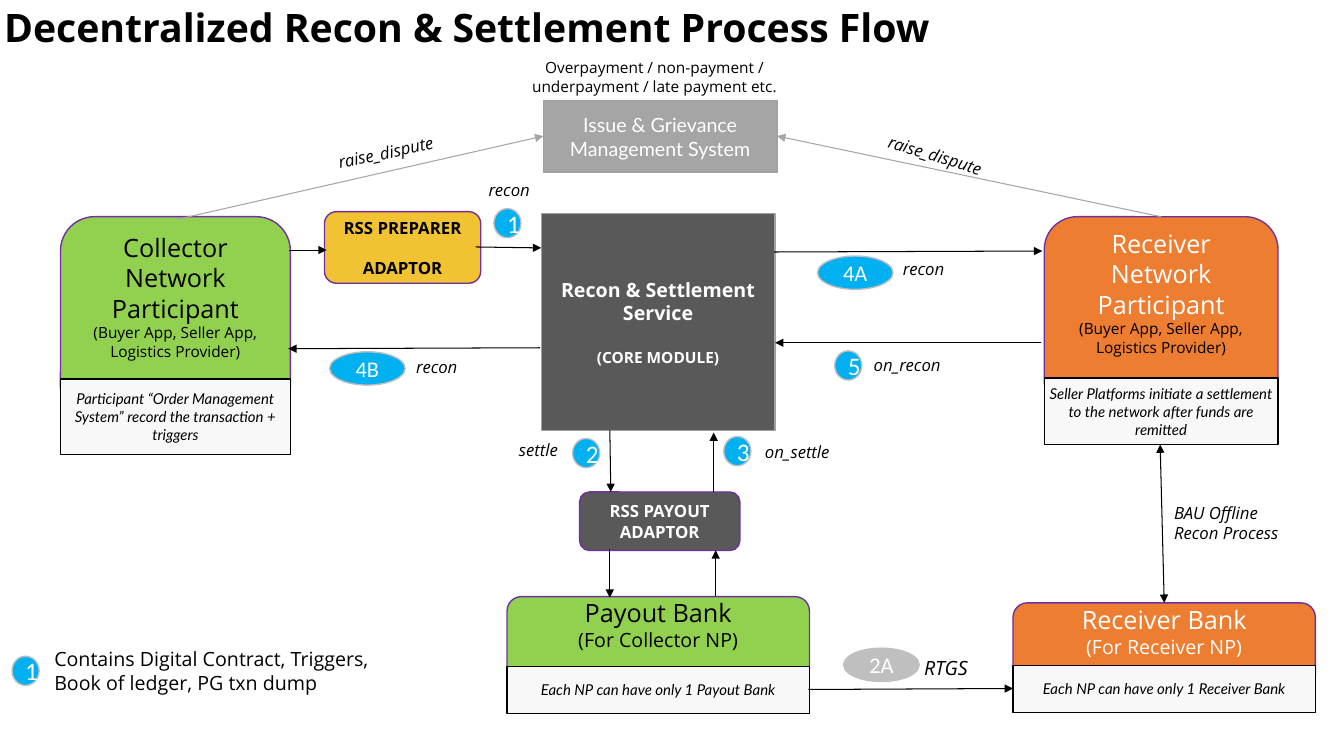
from lxml import etree
from pptx import Presentation
from pptx.dml.color import RGBColor
from pptx.enum import shapes as kinds, text as aligns
from pptx.oxml.ns import qn
from pptx.util import Pt

BLACK, WHITE = RGBColor(0, 0, 0), RGBColor(255, 255, 255)
GREEN, ORANGE = RGBColor(0x92, 0xD0, 0x50), RGBColor(0xED, 0x7D, 0x31)
GOLD, BLUE = RGBColor(0xF1, 0xC2, 0x32), RGBColor(0x00, 0xB0, 0xF0)
CHARCOAL, PURPLE = RGBColor(0x59, 0x59, 0x59), RGBColor(0x70, 0x30, 0xA0)
EDGE, GREY = RGBColor(0xA1, 0xA1, 0xA1), RGBColor(0xA5, 0xA5, 0xA5)
SILVER, PAPER = RGBColor(0xBF, 0xBF, 0xBF), RGBColor(0xF8, 0xF8, 0xF8)

SANS, LATO, CALIBRI = "Open Sans", "Lato", "Calibri"
RECT, ROUND, OVAL = (kinds.MSO_SHAPE.RECTANGLE, kinds.MSO_SHAPE.ROUNDED_RECTANGLE,
                     kinds.MSO_SHAPE.OVAL)
CENTER, LEFT = aligns.PP_ALIGN.CENTER, aligns.PP_ALIGN.LEFT
PADDING = (7.2, 3.6, 7.2, 3.6)

TITLE = "Decentralized Recon & Settlement Process Flow"
ROLES = "(Buyer App, Seller App,\nLogistics Provider)"

# Actors: place, fill, lines (text, size, colour), room kept at the bottom,
# note height, note top, note
ACTORS = [
    ((43.2, 154.8, 164.2, 146.2), GREEN,
     [("Collector Network Participant", 18, BLACK), (ROLES, 11, BLACK)], 36, 54, 270.7,
     "Participant “Order Management System” record the transaction + triggers"),
    ((745.9, 154.8, 167, 140.4), ORANGE,
     [("Receiver Network Participant", 18, WHITE), (ROLES, 11, BLACK)], 36, 47.5, 270,
     "Seller Platforms initiate a settlement to the network after funds are remitted"),
    ((362.2, 426.2, 216, 61.2), GREEN,
     [("Payout Bank", 18, BLACK), ("(For Collector NP)", 14, BLACK)], 25, 33.8, 475.9,
     "Each NP can have only 1 Payout Bank"),
    ((723.6, 430.6, 216, 61.9), ORANGE,
     [("Receiver Bank", 18, WHITE), ("(For Receiver NP)", 14, WHITE)], 25, 33.8, 475.2,
     "Each NP can have only 1 Receiver Bank"),
]

# Systems: shape, place, fill, edge, font, bold, colour, lines (text, size, space before)
SYSTEMS = [
    (RECT, (386.6, 152.6, 167, 154.8), CHARCOAL, EDGE, SANS, True, WHITE,
     [("Recon & Settlement Service", 14, 0), ("(CORE MODULE)", 11, 16.7)]),
    (RECT, (388.1, 72, 167, 51.1), GREY, EDGE, LATO, False, WHITE,
     [("Issue & Grievance Management System", 14, 0)]),
    (ROUND, (231.8, 151.2, 111.6, 51.1), GOLD, PURPLE, SANS, True, BLACK,
     [("RSS PREPARER", 12, 0), ("ADAPTOR", 12, 14.3)]),
    (ROUND, (414, 351.4, 114.5, 41.8), CHARCOAL, PURPLE, SANS, True, WHITE,
     [("RSS PAYOUT ADAPTOR", 12, 0)]),
]

# Arrows: start, end, colour, heads at both ends
ARROWS = [
    ((206.6, 178.6), (233.3, 178.6), BLACK, False),
    ((339.8, 176.4), (386.6, 177.1), BLACK, False),
    ((385.9, 248.4), (205.9, 249.1), BLACK, False),
    ((553, 180), (744.5, 179.3), BLACK, False),
    ((743.8, 244.8), (553.7, 244.8), BLACK, False),
    ((435.6, 307.4), (436.3, 351.4), BLACK, False),
    ((509.8, 351.4), (509.8, 308.9), BLACK, False),
    ((435.6, 392.4), (435.6, 427), BLACK, False),
    ((511.2, 425.5), (511.2, 393.1), BLACK, False),
    ((577.4, 492.5), (723.6, 491.8), BLACK, False),
    ((828.7, 317.5), (831.6, 430.6), BLACK, True),
    ((125.3, 157), (388.1, 97.2), GREY, False),
    ((829.4, 154.8), (555.1, 97.2), GREY, False),
]

# Step badges: text, left, top, fill
BADGES = [
    ("1", 352.8, 149, BLUE), ("2", 409, 313.2, BLUE), ("3", 517, 311.8, BLUE),
    ("5", 596.2, 250.6, BLUE), ("1", 8.6, 468.7, BLUE), ("4A", 583.9, 182.9, BLUE),
    ("4B", 235.4, 251.3, BLUE), ("2A", 602.6, 463, SILVER),
]
CIRCLE, PILL = (19.4, 20.9, 18), (54, 23.8, 16)  # width, height, text size

# Labels: lines, place, size, italic, alignment, rotation
LABELS = [
    (["recon"], (342, 124.6, 60.5, 21.6), 12, True, LEFT, 0),
    (["recon"], (290.2, 251.3, 73.4, 21.6), 12, True, LEFT, 0),
    (["recon"], (637.9, 181.4, 58.3, 21.6), 12, True, LEFT, 0),
    (["on_recon"], (617, 249.8, 71.3, 21.6), 12, True, LEFT, 0),
    (["settle"], (363.6, 310.3, 48.2, 21.6), 12, True, LEFT, 0),
    (["on_settle"], (539.3, 311.8, 69.1, 21.6), 12, True, LEFT, 0),
    (["RTGS"], (653, 465.1, 46.1, 24.5), 14, True, LEFT, 0),
    (["BAU Offline", "Recon Process"], (831.6, 355.7, 90.7, 36), 12, True, LEFT, 0),
    (["raise_dispute"], (234, 97.9, 84.2, 21.6), 12, True, LEFT, 348.2),
    (["raise_dispute"], (626.4, 100.1, 84.2, 21.6), 12, True, LEFT, 17),
    (["Overpayment / non-payment / underpayment / late payment etc."],
     (364.3, 38.2, 206.6, 33.8), 11, False, CENTER, 0),
    (["Contains Digital Contract, Triggers, Book of ledger, PG txn dump"],
     (31.7, 458.6, 246.2, 41), 14, False, LEFT, 0),
]


def write(box, lines, font, bold=False, italic=False, align=CENTER,
          anchor=aligns.MSO_ANCHOR.MIDDLE, padding=PADDING):
    """Fill a box with lines of (text, size, colour, space before)."""
    frame = box.text_frame
    frame.word_wrap, frame.vertical_anchor = True, anchor
    (frame.margin_left, frame.margin_top,
     frame.margin_right, frame.margin_bottom) = map(Pt, padding)
    for index, (words, size, color, before) in enumerate(lines):
        para = frame.add_paragraph() if index else frame.paragraphs[0]
        para.alignment = align
        if before:
            para.space_before = Pt(before)
        for number, part in enumerate(words.split("\n")):
            if number:
                para.add_line_break()
            span = para.add_run()
            span.text = part
            span.font.name, span.font.size = font, Pt(size)
            span.font.bold, span.font.italic = bold, italic
            span.font.color.rgb = color


def add_box(kind, place, fill, edge):
    box = page.shapes.add_shape(kind, *map(Pt, place))
    box.shadow.inherit = False
    box.fill.solid()
    box.fill.fore_color.rgb = fill
    box.line.color.rgb, box.line.width = edge, Pt(1)
    return box


def add_arrow(start, end, color, both):
    arrow = page.shapes.add_connector(kinds.MSO_CONNECTOR.STRAIGHT, *map(Pt, start + end))
    arrow.line.color.rgb, arrow.line.width = color, Pt(0.75)
    properties = arrow.line._get_or_add_ln()
    for tag in (["a:headEnd"] if both else []) + ["a:tailEnd"]:
        etree.SubElement(properties, qn(tag), type="triangle")
    etree.SubElement(arrow._element.spPr, qn("a:effectLst"))


deck = Presentation()
deck.slide_width, deck.slide_height = Pt(960), Pt(540)
page = deck.slides.add_slide(deck.slide_layouts[5])

# Title
title = page.shapes.title
title.left, title.top, title.width, title.height = map(Pt, (2.9, 2.2, 881.3, 33.8))
write(title, [(TITLE, 28, BLACK, 0)], SANS, bold=True, align=LEFT,
      anchor=aligns.MSO_ANCHOR.TOP, padding=(0, 0, 0, 0))

# Actors with their notes
for place, fill, lines, room, note_height, note_top, note in ACTORS:
    write(add_box(ROUND, place, fill, PURPLE), [line + (0,) for line in lines], SANS,
          padding=PADDING[:3] + (PADDING[3] + room - 3.6,))
    left, _, width, _ = place
    write(add_box(RECT, (left, note_top, width, note_height), PAPER, BLACK),
          [(note, 10.7, BLACK, 0)], LATO, italic=True, padding=(2.9, 3.6, 2.9, 3.6))

# Systems
for kind, place, fill, edge, font, bold, color, lines in SYSTEMS:
    write(add_box(kind, place, fill, edge),
          [(words, size, color, before) for words, size, before in lines], font, bold)

# Arrows
for arrow_row in ARROWS:
    add_arrow(*arrow_row)

# Step badges
for words, left, top, fill in BADGES:
    width, height, size = CIRCLE if len(words) == 1 else PILL
    write(add_box(OVAL, (left, top, width, height), fill, SILVER),
          [(words, size, WHITE, 0)], CALIBRI)

# Labels
for lines, place, size, italic, align, rotation in LABELS:
    label = page.shapes.add_textbox(*map(Pt, place))
    label.rotation = rotation
    write(label, [(words, size, BLACK, 0) for words in lines], SANS, italic=italic,
          align=align, anchor=aligns.MSO_ANCHOR.TOP)

deck.save("out.pptx")
